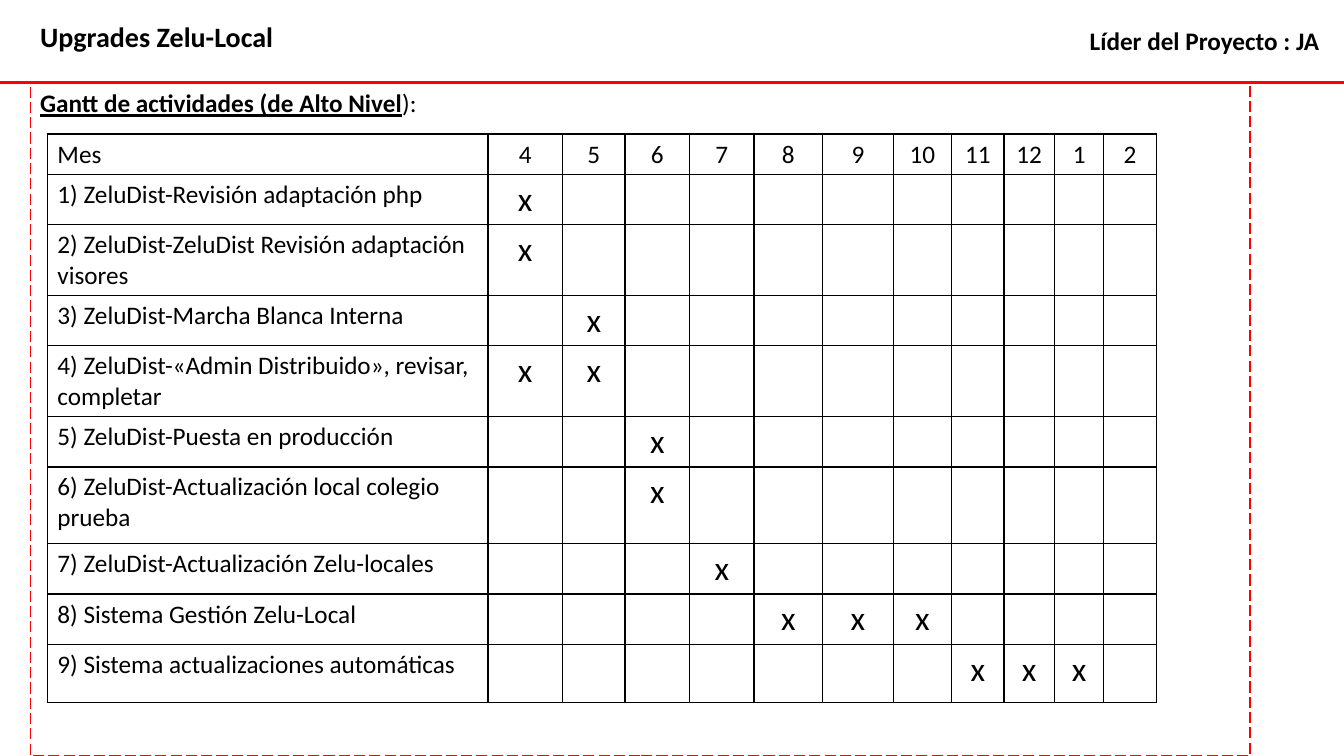
from dataclasses import dataclass

from pptx import Presentation
from pptx.dml.color import RGBColor
from pptx.enum.dml import MSO_LINE
from pptx.enum.shapes import MSO_CONNECTOR, MSO_SHAPE
from pptx.enum.text import MSO_ANCHOR, MSO_AUTO_SIZE, PP_ALIGN
from pptx.oxml.ns import qn
from pptx.slide import Slide
from pptx.table import _Cell as Cell
from pptx.text.text import TextFrame, _Run as Run
from pptx.util import Emu, Pt
from lxml.etree import SubElement

PX_PER_INCH = 100


@dataclass(frozen=True)
class Theme:
    font: str = "Calibri"
    ink: str = "000000"
    accent: str = "FF0000"
    title_size: int = 20
    body_size: int = 18
    mark_size: int = 24
    rule_width: float = 2.25
    thin_width: float = 1


@dataclass(frozen=True)
class Box:
    left: int
    top: int
    width: int
    height: int

    def emu(self) -> tuple[Emu, Emu, Emu, Emu]:
        return px(self.left), px(self.top), px(self.width), px(self.height)


@dataclass(frozen=True)
class Label:
    text: str
    box: Box
    size: int
    wrap: bool


@dataclass(frozen=True)
class Activity:
    name: str
    months: tuple[int, ...]
    height: int


THEME = Theme()
SLIDE_WIDTH, SLIDE_HEIGHT = 1333, 750
RULE_Y = 82
FRAME = Box(30, RULE_Y, 1210, 668)
LABELS = (
    Label("Upgrades Zelu-Local", Box(30, 14, 406, 44), THEME.title_size, True),
    Label("Líder del Proyecto : JA", Box(1071, 20, 250, 40), THEME.body_size, False),
)
GANTT = Box(47, 133, 1102, 564)
HEADER_HEIGHT = 38
NAME_WIDTH = 437
MONTH_WIDTHS = {4: 74, 5: 62, 6: 64, 7: 64, 8: 68, 9: 70, 10: 58, 11: 52, 12: 50, 1: 49, 2: 52}
ACTIVITIES = (
    Activity("ZeluDist-Revisión adaptación php", (4,), 40),
    Activity("ZeluDist-ZeluDist Revisión adaptación visores", (4,), 53),
    Activity("ZeluDist-Marcha Blanca Interna", (5,), 48),
    Activity("ZeluDist-«Admin Distribuido», revisar, completar", (4, 5), 69),
    Activity("ZeluDist-Puesta en producción", (6,), 47),
    Activity("ZeluDist-Actualización local colegio prueba", (6,), 76),
    Activity("ZeluDist-Actualización Zelu-locales", (7,), 47),
    Activity("Sistema Gestión Zelu-Local", (8, 9, 10), 47),
    Activity("Sistema actualizaciones automáticas", (11, 12, 1), 58),
)


def px(n: int) -> Emu:
    return Emu(n * 914400 // PX_PER_INCH)


def rgb(color: str) -> RGBColor:
    return RGBColor.from_string(color)


def style_run(r: Run, size: int, bold: bool = False, underline: bool = False) -> None:
    r.font.name = THEME.font
    r.font.size = Pt(size)
    r.font.bold = bold
    r.font.underline = underline
    r.font.color.rgb = rgb(THEME.ink)


def write(tf: TextFrame, text: str, size: int, bold: bool = False,
          align: PP_ALIGN = PP_ALIGN.LEFT) -> None:
    tf.text = text
    p = tf.paragraphs[0]
    p.alignment = align
    for r in p.runs:
        style_run(r, size, bold)


def add_rule(s: Slide) -> None:
    rule = s.shapes.add_connector(
        MSO_CONNECTOR.STRAIGHT, 0, px(RULE_Y), px(SLIDE_WIDTH), px(RULE_Y))
    rule.line.color.rgb = rgb(THEME.accent)
    rule.line.width = Pt(THEME.rule_width)
    SubElement(rule._element.spPr, qn("a:effectLst"))


def add_label(s: Slide, label: Label) -> None:
    tf = s.shapes.add_textbox(*label.box.emu()).text_frame
    tf.word_wrap = label.wrap
    tf.auto_size = MSO_AUTO_SIZE.SHAPE_TO_FIT_TEXT
    write(tf, label.text, label.size, bold=True)


def add_frame(s: Slide) -> None:
    sp = s.shapes.add_shape(MSO_SHAPE.RECTANGLE, *FRAME.emu())
    sp.shadow.inherit = False
    sp.fill.background()
    sp.line.color.rgb = rgb(THEME.accent)
    sp.line.width = Pt(THEME.thin_width)
    sp.line.dash_style = MSO_LINE.LONG_DASH
    tf = sp.text_frame
    tf.word_wrap = True
    tf.vertical_anchor = MSO_ANCHOR.TOP
    write(tf, "Gantt de actividades (de Alto Nivel", THEME.body_size, bold=True)
    p = tf.paragraphs[0]
    p.runs[0].font.underline = True
    r = p.add_run()
    r.text = "):"
    style_run(r, THEME.body_size)


def style_cell(cell: Cell) -> None:
    tc_pr = cell._tc.get_or_add_tcPr()
    for side in ("lnL", "lnR", "lnT", "lnB"):
        ln = SubElement(tc_pr, qn(f"a:{side}"), w=str(Pt(THEME.thin_width)))
        fill = SubElement(ln, qn("a:solidFill"))
        SubElement(fill, qn("a:srgbClr"), val=THEME.ink)
    cell.fill.background()


def add_gantt(s: Slide) -> None:
    table = s.shapes.add_table(
        len(ACTIVITIES) + 1, len(MONTH_WIDTHS) + 1, *GANTT.emu()).table
    table.first_row = False
    table.horz_banding = False
    for column, width in zip(table.columns, (NAME_WIDTH, *MONTH_WIDTHS.values())):
        column.width = px(width)
    for row, height in zip(table.rows, (HEADER_HEIGHT, *(a.height for a in ACTIVITIES))):
        row.height = px(height)
    for cell in table.iter_cells():
        style_cell(cell)

    write(table.cell(0, 0).text_frame, "Mes", THEME.body_size)
    month_columns = {month: i for i, month in enumerate(MONTH_WIDTHS, 1)}
    for month, column in month_columns.items():
        write(table.cell(0, column).text_frame, str(month), THEME.body_size,
              align=PP_ALIGN.CENTER)
    for i, activity in enumerate(ACTIVITIES, 1):
        write(table.cell(i, 0).text_frame, f"{i}) {activity.name}", THEME.body_size)
        for month in activity.months:
            write(table.cell(i, month_columns[month]).text_frame, "x", THEME.mark_size,
                  align=PP_ALIGN.CENTER)


def main() -> None:
    prs = Presentation()
    prs.slide_width, prs.slide_height = px(SLIDE_WIDTH), px(SLIDE_HEIGHT)
    s = prs.slides.add_slide(prs.slide_layouts[6])
    add_rule(s)
    for label in LABELS:
        add_label(s, label)
    add_frame(s)
    add_gantt(s)
    prs.save("out.pptx")


if __name__ == "__main__":
    main()
